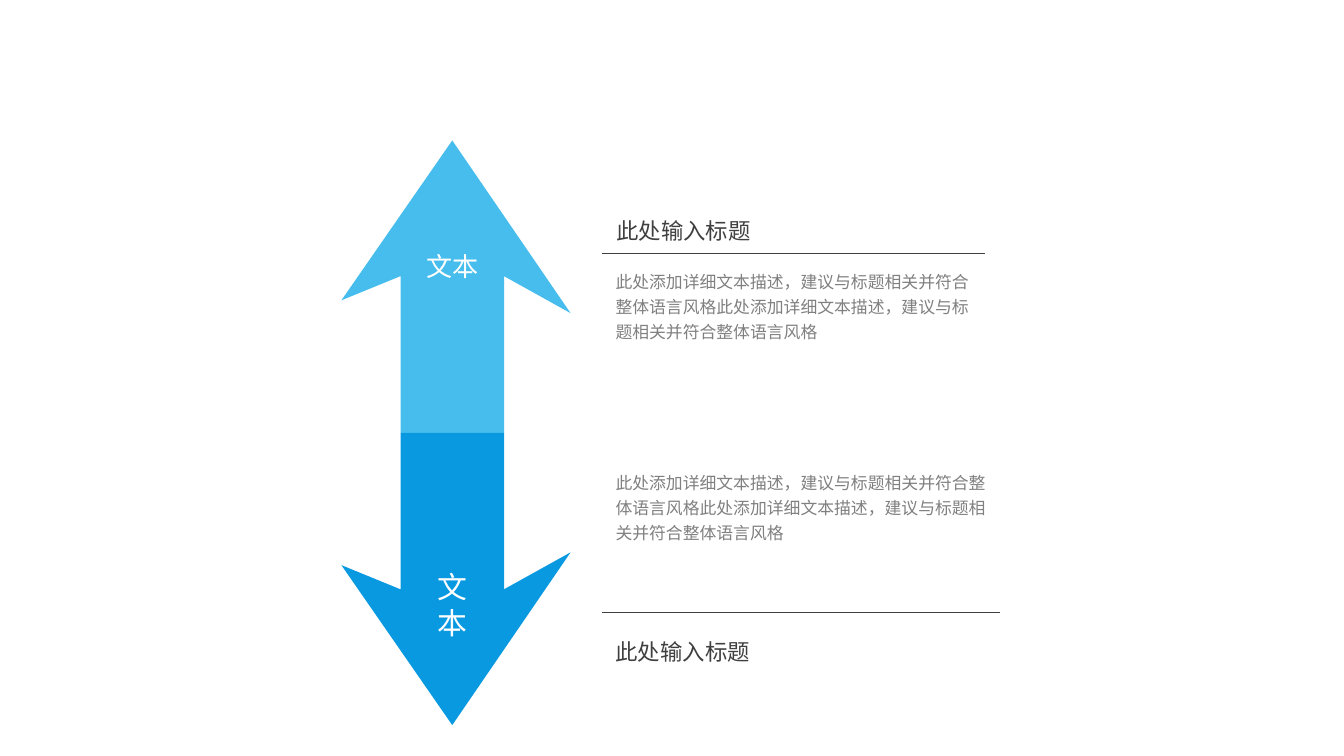
from dataclasses import dataclass

import pptx
import pptx.dml.color
import pptx.enum.shapes
import pptx.enum.text
import pptx.oxml
import pptx.oxml.ns
import pptx.util
import lxml.etree

RGB = pptx.dml.color.RGBColor
SKY = RGB(0x47, 0xBD, 0xEE)
BLUE = RGB(0x08, 0x99, 0xE1)
DARK = RGB(0x40, 0x40, 0x40)
GREY = RGB(0x80, 0x80, 0x80)
WHITE = RGB(0xFF, 0xFF, 0xFF)

FONT = "Noto Sans CJK SC"
HEAD = "此处输入标题"
BODY = "此处添加详细文本描述，建议与标题相关并符合整体语言风格" * 2
LABEL = "文本"

# Grid of square cells, ten to the inch
COLS, ROWS = 100, 56.25
MID = 32.2  # row where the two arrows meet
LEFT = 44.82  # left column of the text

# Arrow outline: column, and rows away from the middle
ARROW = [(37.5, 0), (37.5, 11.65), (42.45, 8.9), (33.65, 21.75),
         (25.4, 9.85), (29.8, 11.65), (29.8, 0)]


@dataclass
class Half:
    side: int  # -1 points up, 1 points down
    fill: RGB
    disc: float  # top row of the label's disc
    size: int  # label size
    wide: float
    head_x: float
    head: float  # rows of the text parts
    rule: float
    body: float


HALVES = [
    Half(-1, SKY, 16.65, 14, 28.45, 44.88, 14.84, 18.9, 19.35),
    Half(1, BLUE, 41.85, 16, 29.55, LEFT, 46.2, 45.55, 34.3),
]


def cell(num: float) -> int:
    return pptx.util.Inches(num / 10)


def write(frame, text: str, size: int, hue: RGB):
    """Fill a text frame with one styled paragraph."""
    frame.word_wrap = True
    para = frame.paragraphs[0]
    para.text = text
    font = para.font
    font.size, font.name = pptx.util.Pt(size), FONT
    font.color.rgb = hue
    east = lxml.etree.SubElement(para._p.pPr.defRPr, pptx.oxml.ns.qn("a:ea"))
    east.set("typeface", FONT)
    return para


def paint(shape, hue: RGB) -> None:
    shape.shadow.inherit = False
    shape.fill.solid()
    shape.fill.fore_color.rgb = hue
    shape.line.fill.background()


def add_text(shapes, x: float, y: float, wide: float, high: float,
             text: str, size: int, hue: RGB, lead: float) -> None:
    box = shapes.add_textbox(cell(x), cell(y), cell(wide), cell(high))
    write(box.text_frame, text, size, hue).line_spacing = lead
    box.text_frame.auto_size = pptx.enum.text.MSO_AUTO_SIZE.SHAPE_TO_FIT_TEXT


def add_rule(shapes, y: float, wide: float) -> None:
    rule = shapes.add_connector(
        pptx.enum.shapes.MSO_CONNECTOR.STRAIGHT,
        cell(LEFT), cell(y), cell(LEFT + wide), cell(y))
    rule.line.color.rgb = DARK
    props = rule._element.spPr
    props.find(pptx.oxml.ns.qn("a:ln")).set("w", "0")  # hairline
    lxml.etree.SubElement(props, pptx.oxml.ns.qn("a:effectLst"))


def add_arrow(shapes, half: Half) -> None:
    spots = [(cell(x), cell(MID + half.side * y)) for x, y in ARROW]
    pen = shapes.build_freeform(*spots[0])
    pen.add_line_segments(spots[1:], close=True)
    paint(pen.convert_to_shape(), half.fill)

    # Disc that holds the label
    disc = shapes.add_shape(
        pptx.enum.shapes.MSO_SHAPE.OVAL,
        cell(30.55), cell(half.disc), cell(6.2), cell(6.3))
    paint(disc, half.fill)
    frame = disc.text_frame
    frame.margin_left = frame.margin_right = 0
    frame.margin_top = frame.margin_bottom = 0
    frame.vertical_anchor = pptx.enum.text.MSO_ANCHOR.MIDDLE
    para = write(frame, LABEL, half.size, WHITE)
    para.alignment = pptx.enum.text.PP_ALIGN.CENTER


def main() -> None:
    deck = pptx.Presentation()
    deck.slide_width, deck.slide_height = cell(COLS), cell(ROWS)
    shapes = deck.slides.add_slide(deck.slide_layouts[6]).shapes

    for half in HALVES:
        # Title, rule and description
        add_text(shapes, LEFT, half.body, half.wide, 8.6, BODY, 9, GREY, 1.25)
        add_rule(shapes, half.rule, half.wide)
        add_text(shapes, half.head_x, half.head, half.wide, 3.8,
                 HEAD, 12, DARK, 1.4)
        # Arrow with its label
        add_arrow(shapes, half)

    deck.save("out.pptx")


if __name__ == "__main__":
    main()
